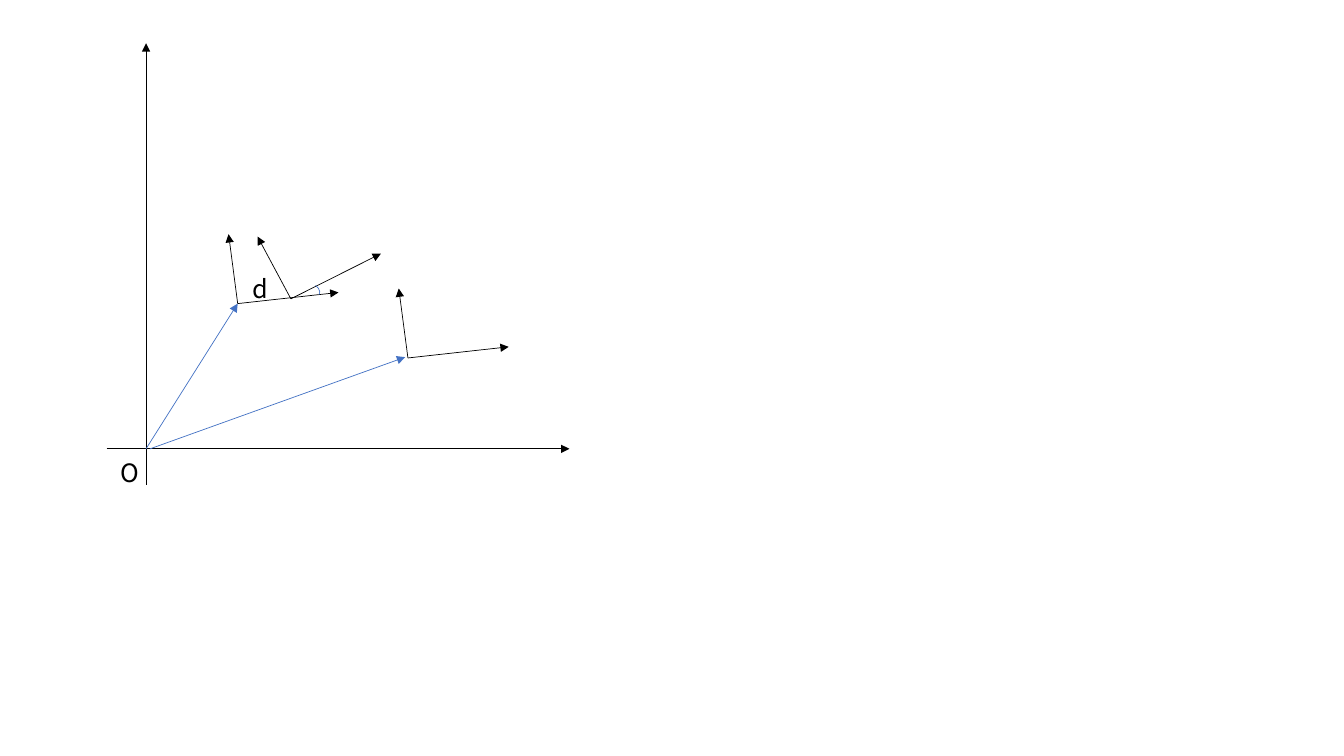
from dataclasses import dataclass

from lxml.etree import SubElement
from pptx import Presentation
from pptx.dml.color import RGBColor
from pptx.enum.shapes import MSO_CONNECTOR, MSO_SHAPE
from pptx.enum.text import MSO_AUTO_SIZE
from pptx.oxml.ns import qn
from pptx.util import Cm, Pt


@dataclass(frozen=True)
class Theme:
    """Colours, font and sizes of the slide."""
    ink: RGBColor = RGBColor(0x00, 0x00, 0x00)
    accent: RGBColor = RGBColor(0x44, 0x72, 0xC4)
    font: str = "Noto Sans CJK SC"
    label_size: Pt = Pt(18)
    line_width: Pt = Pt(0.5)


@dataclass(frozen=True)
class Box:
    """A region in centimetres, with the origin measured from its bottom left."""
    left: float
    top: float
    width: float
    height: float
    origin_x: float
    origin_y: float

    def place(self, point):
        """Turn diagram coordinates, y upwards, into slide lengths."""
        x, y = point
        return (Cm(self.left + self.origin_x + x),
                Cm(self.top + self.height - self.origin_y - y))


THEME = Theme()
DIAGRAM = Box(2.69, 1.09, 11.66, 11.13, 0.99, 0.91)


def apply_format(target, values):
    """Set each attribute named in a dict of format values."""
    for name, value in values.items():
        setattr(target, name, value)


def add_arrow(page, box, start, end, color=THEME.ink):
    """Draw a thin arrow between two diagram points."""
    arrow = page.shapes.add_connector(
        MSO_CONNECTOR.STRAIGHT, *box.place(start), *box.place(end))
    arrow.line.color.rgb = color
    apply_format(arrow.line, {"width": THEME.line_width})
    SubElement(arrow.line._get_or_add_ln(), qn("a:tailEnd"), type="triangle")
    SubElement(arrow._element.spPr, qn("a:effectLst"))


def add_frame(page, box, origin, arms):
    """Draw a local coordinate frame from its origin and arm vectors."""
    for arm_x, arm_y in arms:
        add_arrow(page, box, origin, (origin[0] + arm_x, origin[1] + arm_y))


def add_label(page, box, corner, width, text):
    """Write a one-letter label with its top left at a diagram point."""
    label = page.shapes.add_textbox(*box.place(corner), Cm(width), Cm(1.02))
    apply_format(label.text_frame,
                 {"word_wrap": False, "auto_size": MSO_AUTO_SIZE.SHAPE_TO_FIT_TEXT})
    span = label.text_frame.paragraphs[0].add_run()
    span.text = text
    apply_format(span.font, {"name": THEME.font, "size": THEME.label_size})
    span.font.color.rgb = THEME.ink


def add_angle(page, box, corner):
    """Mark the angle between the turned frame and its parent."""
    arc = page.shapes.add_shape(MSO_SHAPE.ARC, *box.place(corner), Cm(0.41), Cm(0.28))
    arc.rotation = 34.9
    arc.shadow.inherit = False
    arc.fill.background()
    arc.line.color.rgb = THEME.accent
    apply_format(arc.line, {"width": THEME.line_width})


def add_diagram(page, box):
    """Draw the world axes, the local frames and their position vectors."""
    add_arrow(page, box, (0, -box.origin_y), (0, box.height - box.origin_y))
    add_arrow(page, box, (-box.origin_x, 0), (box.width - box.origin_x, 0))
    add_label(page, box, (-0.89, -0.1), 0.99, "O")

    tilted = ((-0.23, 1.75), (2.54, 0.28))
    turned = ((-0.84, 1.57), (2.27, 1.14))
    near, far, offset = (2.31, 3.66), (6.6, 2.29), (3.65, 3.78)
    for origin, arms in ((near, tilted), (far, tilted), (offset, turned)):
        add_frame(page, box, origin, arms)
    for start, end in (((0, 0), near), ((0.1, 0), (6.53, 2.31))):
        add_arrow(page, box, start, end, THEME.accent)

    add_angle(page, box, (3.99, 4.14))
    add_label(page, box, (2.44, 4.55), 0.89, "d")


def main():
    """Build the deck and save it."""
    deck = Presentation()
    apply_format(deck, {"slide_width": Cm(33.87), "slide_height": Cm(19.05)})
    page = deck.slides.add_slide(deck.slide_layouts[6])
    add_diagram(page, DIAGRAM)
    deck.save("out.pptx")


if __name__ == "__main__":
    main()
